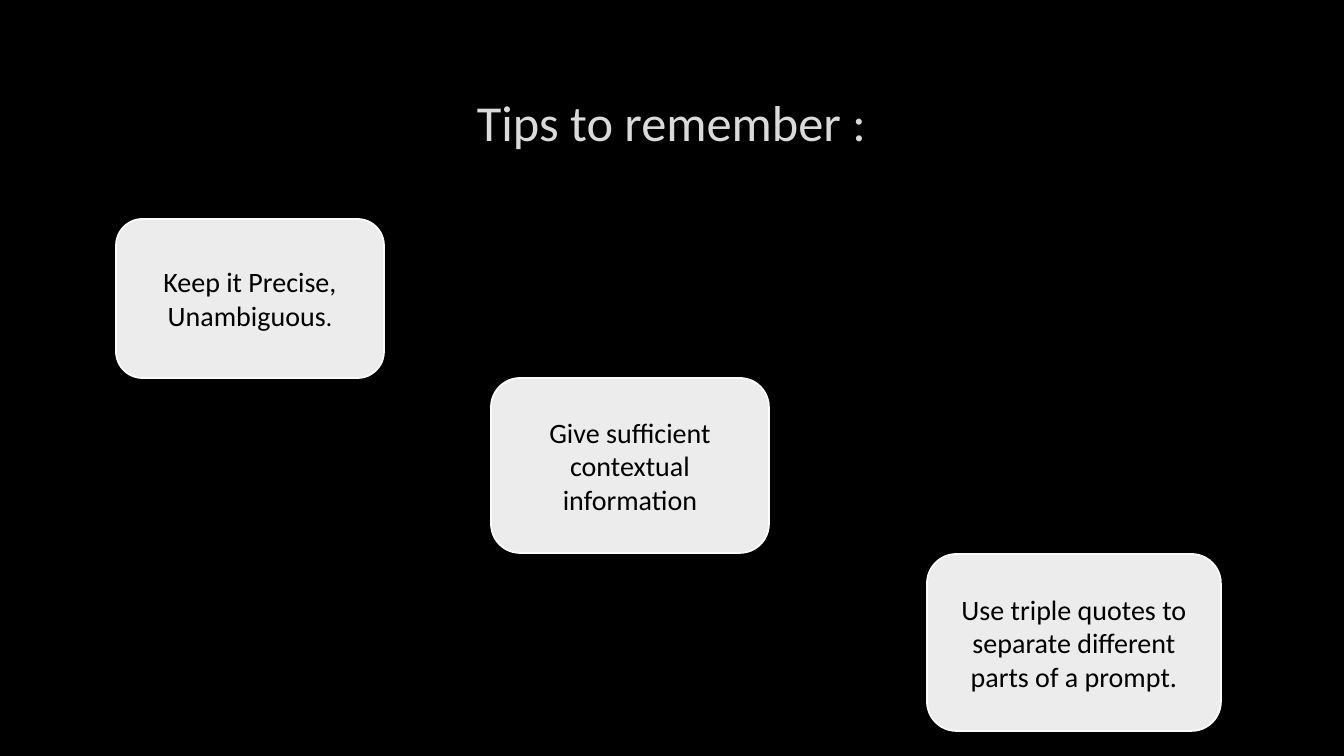
from pptx import Presentation
from pptx.dml.color import RGBColor
from pptx.enum.shapes import MSO_SHAPE
from pptx.enum.text import MSO_ANCHOR, PP_ALIGN
from pptx.util import Emu, Pt

ROUNDED = MSO_SHAPE.ROUNDED_RECTANGLE
MIDDLE = MSO_ANCHOR.MIDDLE
CENTER = PP_ALIGN.CENTER

PX_PER_INCH = 100.8
EMU_PER_PX = 914400 / PX_PER_INCH
PAGE_WIDTH, PAGE_HEIGHT = 1344, 756
TITLE_ONLY = 5
FONT = "Calibri"
COLORS = {
    "background": "000000",
    "title": "DADADA",
    "card": "ECECEC",
    "border": "FBFBFB",
    "text": "000000",
}

TITLE_BOX = (101, 68, 1141, 107)
# Each tip: its box in px, then its spans as (text, size in points).
TIPS = [
    ((116, 219, 268, 159), [("Keep it Precise, Unambiguous", 20), (".", 18)]),
    ((491, 378, 278, 175), [("Give sufficient contextual information", 20)]),
    ((927, 554, 294, 177),
     [("Use triple quotes to separate different parts of a prompt.", 20)]),
]


def px(length):
    return Emu(round(length * EMU_PER_PX))


def color(name):
    return RGBColor.from_string(COLORS[name])


def add_span(para, text, size=20, fill="text"):
    span = para.add_run()
    span.text = text
    span.font.name = FONT
    span.font.size = Pt(size)
    span.font.color.rgb = color(fill)


def centered_para(shape):
    """Centre the shape's text both ways and return its first paragraph."""
    frame = shape.text_frame
    frame.word_wrap = True
    frame.vertical_anchor = MIDDLE
    para = frame.paragraphs[0]
    para.alignment = CENTER
    return para


def place_title(page, box, text):
    title = page.shapes.title
    title.left, title.top, title.width, title.height = map(px, box)
    add_span(centered_para(title), text, size=36, fill="title")


def add_tip_card(page, box, spans):
    card = page.shapes.add_shape(ROUNDED, *map(px, box))
    card.shadow.inherit = False
    card.fill.solid()
    card.fill.fore_color.rgb = color("card")
    card.line.color.rgb = color("border")
    card.line.width = Pt(1.25)
    para = centered_para(card)
    for text, size in spans:
        add_span(para, text, size=size)


def build_tips_page(deck):
    page = deck.slides.add_slide(deck.slide_layouts[TITLE_ONLY])
    page.background.fill.solid()
    page.background.fill.fore_color.rgb = color("background")
    place_title(page, TITLE_BOX, "Tips to remember :")
    for box, spans in TIPS:
        add_tip_card(page, box, spans)


def main():
    deck = Presentation()
    deck.slide_width = px(PAGE_WIDTH)
    deck.slide_height = px(PAGE_HEIGHT)
    build_tips_page(deck)
    deck.save("out.pptx")


if __name__ == "__main__":
    main()
